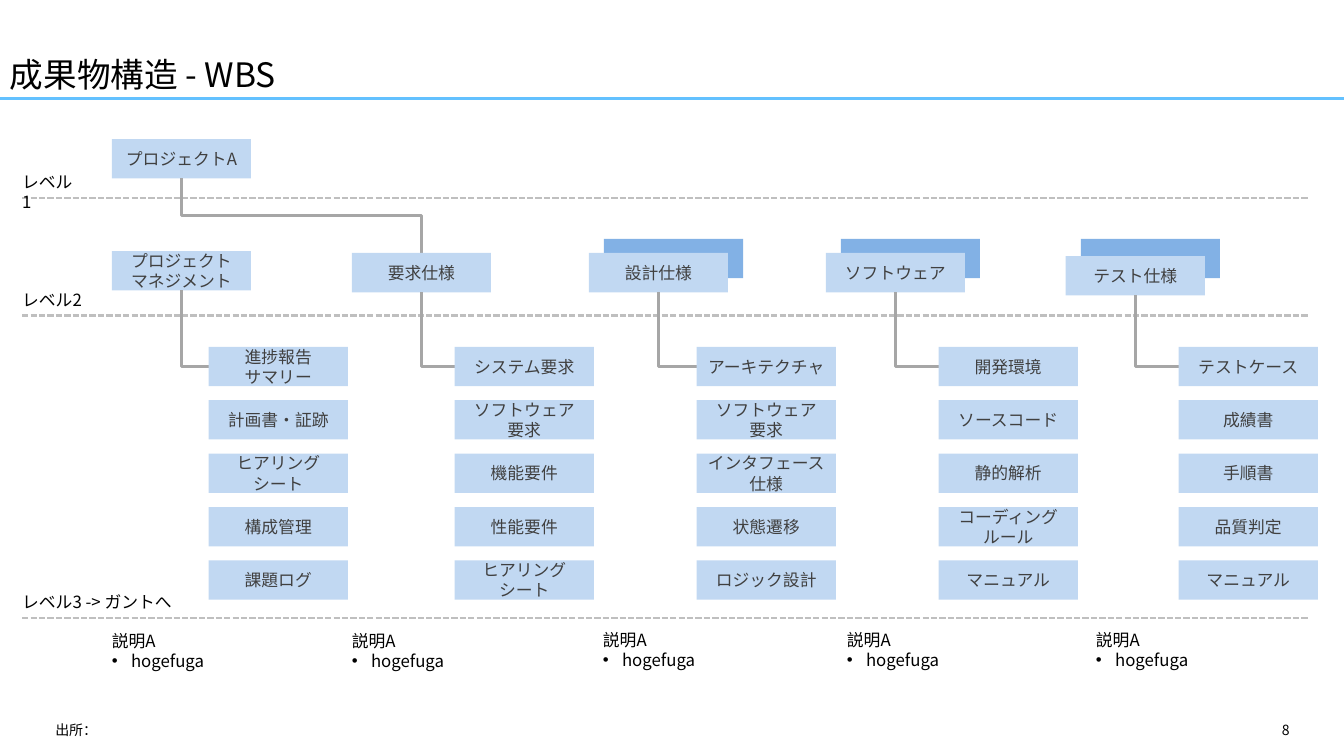
import pptx
import pptx.util
import pptx.dml.color
import pptx.enum.dml
import pptx.enum.shapes
import pptx.enum.text
import pptx.oxml.ns
from lxml import etree

Inches = pptx.util.Inches
ALIGN = pptx.enum.text.PP_ALIGN
ANCHOR = pptx.enum.text.MSO_ANCHOR
CONNECTOR = pptx.enum.shapes.MSO_CONNECTOR
qn = pptx.oxml.ns.qn

COLORS = {"text": "000000", "box_text": "404040", "box": "C1D8F2", "stack": "82B1E5",
          "rule": "63C1FF", "dash": "BFBFBF", "link": "A6A6A6"}
FONT = "Noto Sans CJK JP"
BOX_W, BOX_H = 1.38, 0.39


def rgb(name):
    return pptx.dml.color.RGBColor.from_string(COLORS[name])


class WbsSlide:
    def __init__(self, prs):
        self.shapes = prs.slides.add_slide(prs.slide_layouts[6]).shapes

    def set_text(self, tf, text, size=12, color="text", align=ALIGN.LEFT):
        tf.text = text
        for p in tf.paragraphs:
            p.alignment = align
            for r in p.runs:
                r.font.size = pptx.util.Pt(size)
                r.font.name = FONT
                r.font.color.rgb = rgb(color)
                ea = etree.SubElement(r.font._element, qn("a:ea"))
                ea.set("typeface", FONT)

    def no_insets(self, tf):
        tf.margin_left = tf.margin_right = tf.margin_top = tf.margin_bottom = 0

    def text(self, x, y, w, h, text, size=12, align=ALIGN.LEFT, insets=False):
        tf = self.shapes.add_textbox(Inches(x), Inches(y), Inches(w), Inches(h)).text_frame
        tf.word_wrap = True
        if not insets:
            self.no_insets(tf)
        self.set_text(tf, text, size, align=align)
        return tf

    def note(self, x, y, heading, item):
        tf = self.text(x, y, 2.34, 0.4, f"{heading}\n{item}")
        pPr = tf.paragraphs[1]._p.get_or_add_pPr()
        pPr.set("marL", str(Inches(0.19)))
        pPr.set("indent", str(-Inches(0.19)))
        etree.SubElement(pPr, qn("a:buFont")).set("typeface", "Arial")
        etree.SubElement(pPr, qn("a:buChar")).set("char", "•")

    def box(self, x, y, text="", fill="box"):
        s = self.shapes.add_shape(pptx.enum.shapes.MSO_SHAPE.RECTANGLE,
                                  Inches(x), Inches(y), Inches(BOX_W), Inches(BOX_H))
        s.shadow.inherit = False
        s.fill.solid()
        s.fill.fore_color.rgb = rgb(fill)
        s.line.fill.background()
        if text:
            tf = s.text_frame
            tf.word_wrap = True
            tf.vertical_anchor = ANCHOR.MIDDLE
            self.no_insets(tf)
            self.set_text(tf, text, color="box_text", align=ALIGN.CENTER)

    def line(self, x1, y1, x2, y2, color, width, kind=CONNECTOR.STRAIGHT):
        c = self.shapes.add_connector(kind, Inches(x1), Inches(y1), Inches(x2), Inches(y2))
        c.line.color.rgb = rgb(color)
        c.line.width = pptx.util.Pt(width)
        etree.SubElement(c._element.spPr, qn("a:effectLst"))
        return c

    def level(self, y, w, label):
        c = self.line(0.22, y, 12.98, y, "dash", 1.5)
        c.line.dash_style = pptx.enum.dml.MSO_LINE.SQUARE_DOT
        self.text(0.22, y - 0.26, w, 0.2, label)

    def elbow(self, x1, y1, x2, y2, preset):
        """Bent connector that leaves downwards: a quarter turn about its centre."""
        cx, cy = (x1 + x2) / 2, (y1 + y2) / 2
        half_w, half_h = (y2 - y1) / 2, (x2 - x1) / 2
        c = self.line(cx + half_w, cy - half_h, cx - half_w, cy + half_h,
                      "link", 2.25, CONNECTOR.ELBOW)
        spPr = c._element.spPr
        spPr.find(qn("a:xfrm")).set("rot", "16200000")
        spPr.find(qn("a:prstGeom")).set("prst", preset)


# Branches: parent x, parent y, child x, note x, stacked, parent, children
BRANCHES = [
    (1.11, 2.49, 2.07, 1.11, False, "プロジェクト\nマネジメント",
     ["進捗報告\nサマリー", "計画書・証跡", "ヒアリング\nシート", "構成管理", "課題ログ"]),
    (3.49, 2.51, 4.51, 3.49, False, "要求仕様",
     ["システム要求", "ソフトウェア\n要求", "機能要件", "性能要件", "ヒアリング\nシート"]),
    (5.84, 2.51, 6.91, 5.98, True, "設計仕様",
     ["アーキテクチャ", "ソフトウェア\n要求", "インタフェース\n仕様", "状態遷移", "ロジック設計"]),
    (8.19, 2.51, 9.31, 8.4, True, "ソフトウェア",
     ["開発環境", "ソースコード", "静的解析", "コーディング\nルール", "マニュアル"]),
    (10.57, 2.54, 11.69, 10.87, True, "テスト仕様",
     ["テストケース", "成績書", "手順書", "品質判定", "マニュアル"]),
]
CHILD_TOP, CHILD_STEP = 3.44, 0.53


def main():
    prs = pptx.Presentation()
    prs.slide_width, prs.slide_height = Inches(13.33), Inches(7.5)
    wbs = WbsSlide(prs)

    # Title and rule
    wbs.line(0, 0.98, 13.33, 0.98, "rule", 2.25)
    title = wbs.text(0, 0, 13.33, 0.99, "成果物構造 - WBS", 24, insets=True)
    title.vertical_anchor = ANCHOR.BOTTOM
    title.paragraphs[0].line_spacing = 0.9

    # Levels
    for y, w, label in [(1.96, 0.58, "レベル1"), (3.13, 0.61, "レベル2"),
                        (6.13, 1.61, "レベル3 -> ガントへ")]:
        wbs.level(y, w, label)

    # Project
    wbs.box(1.11, 1.38, "プロジェクトA")
    wbs.elbow(1.8, 1.77, 4.18, 2.51, "bentConnector3")

    # Branches with their deliverables and notes
    for x, y, child_x, note_x, stacked, parent, children in BRANCHES:
        if stacked:
            wbs.box(x + 0.15, 2.37, fill="stack")
        wbs.box(x, y, parent)
        wbs.elbow(x + BOX_W / 2, y + BOX_H, child_x, CHILD_TOP + BOX_H / 2, "bentConnector2")
        for i, child in enumerate(children):
            wbs.box(child_x, CHILD_TOP + i * CHILD_STEP, child)
        wbs.note(note_x, 6.25 if stacked else 6.26, "説明A", "hogefuga")

    # Footer
    wbs.text(0.45, 7.11, 8.47, 0.24, "出所：", 10, insets=True)
    wbs.text(9.42, 7.11, 3.47, 0.24, "8", 10, ALIGN.RIGHT, insets=True)

    prs.save("out.pptx")


if __name__ == "__main__":
    main()
